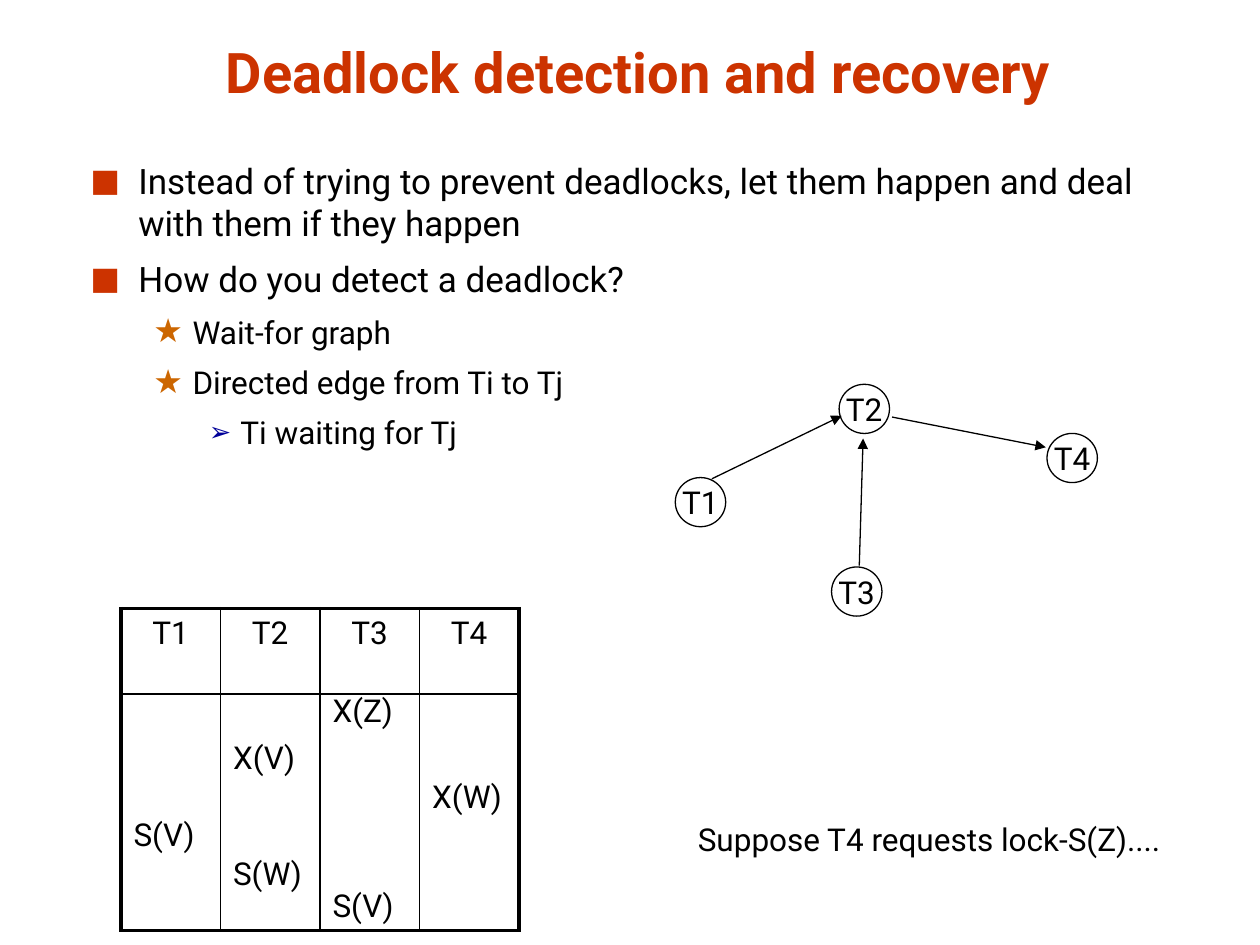
"""Build the slide on deadlock detection with its wait-for graph and lock table."""
from lxml.etree import SubElement
from pptx import Presentation
from pptx.dml.color import RGBColor
from pptx.enum.shapes import MSO_CONNECTOR as Connector, MSO_SHAPE as Shape
from pptx.enum.text import MSO_ANCHOR as Anchor, MSO_AUTO_SIZE as Fit, PP_ALIGN as Align
from pptx.oxml import parse_xml
from pptx.oxml.ns import nsdecls, qn
from pptx.util import Inches, Pt

RED = RGBColor(0xCC, 0x33, 0x00)
ORANGE = RGBColor(0xCC, 0x66, 0x00)
NAVY = RGBColor(0x00, 0x00, 0x99)
BLACK = RGBColor(0x00, 0x00, 0x00)

deck = Presentation()
deck.slide_width, deck.slide_height = Inches(10), Inches(7.5)
column, row = deck.slide_width / 100, deck.slide_height / 75
page = deck.slides.add_slide(deck.slide_layouts[5])


def place(*lengths):
    """Turn alternating columns and rows into slide lengths."""
    return [int(length * (row if i % 2 else column)) for i, length in enumerate(lengths)]


def write(para, text, size, color=BLACK, bold=False):
    """Add one run of formatted text to a paragraph."""
    span = para.add_run()
    span.text = text
    for name, value in {"name": "Roboto", "size": Pt(size), "bold": bold}.items():
        setattr(span.font, name, value)
    span.font.color.rgb = color


title = page.shapes.title
title.left, title.top, title.width, title.height = place(6.5, 2.1, 88.3, 6.7)
title.text_frame.vertical_anchor = Anchor.BOTTOM
title.text_frame.auto_size = Fit.NONE
title.text_frame.paragraphs[0].alignment = Align.CENTER
write(title.text_frame.paragraphs[0], "Deadlock detection and recovery", 32, RED, True)

levels = [
    {"size": 20, "margin": 0.38, "hang": 0.38, "mark": "■", "color": RED, "scale": 90},
    {"size": 18, "margin": 0.81, "hang": 0.31, "mark": "★", "color": ORANGE, "scale": 105},
    {"size": 18, "margin": 1.19, "hang": 0.25, "mark": "➢", "color": NAVY, "scale": 85},
]
points = [
    (0, "Instead of trying to prevent deadlocks, let them happen and deal with them if they happen"),
    (0, "How do you detect a deadlock?"),
    (1, "Wait-for graph"),
    (1, "Directed edge from Ti to Tj"),
    (2, "Ti waiting for Tj"),
]
body = page.shapes.add_textbox(*place(6.2, 12.2, 90, 62.8)).text_frame
body.word_wrap = True
for i, (depth, text) in enumerate(points):
    style = levels[depth]
    para = body.add_paragraph() if i else body.paragraphs[0]
    para.level = depth
    para.space_before = Pt(0.4 * style["size"] if i else 0)
    props = para._p.get_or_add_pPr()
    props.set("marL", str(Inches(style["margin"])))
    props.set("indent", str(-Inches(style["hang"])))
    tint = SubElement(props, qn("a:buClr"))
    SubElement(tint, qn("a:srgbClr"), val=str(style["color"]))
    SubElement(props, qn("a:buSzPct"), val=str(style["scale"] * 1000))
    SubElement(props, qn("a:buFont"), typeface="Roboto")
    SubElement(props, qn("a:buChar"), char=style["mark"])
    write(para, text, style["size"])

schedule = {
    "T1": [(3, "S(V)")],
    "T2": [(1, "X(V)"), (4, "S(W)")],
    "T3": [(0, "X(Z)"), (5, "S(V)")],
    "T4": [(2, "X(W)")],
}
line_height, step = 15.8, 22.2
table = page.shapes.add_table(2, len(schedule), *place(9.6, 48.3, 31.6, 25.3)).table
table.first_row = table.horz_banding = False
table.rows[0].height, table.rows[1].height = int(6.8 * row), int(18.5 * row)
for i, (name, locks) in enumerate(schedule.items()):
    table.columns[i].width = int(7.9 * column)
    head, cell = table.cell(0, i), table.cell(1, i)
    head.text_frame.paragraphs[0].alignment = Align.CENTER
    write(head.text_frame.paragraphs[0], name, 18)
    cell.margin_top = Pt(3.6 + step * locks[0][0] + (4.4 if locks[0][0] else 0))
    for j, (time, lock) in enumerate(locks):
        para = cell.text_frame.add_paragraph() if j else cell.text_frame.paragraphs[0]
        para.line_spacing = 0.75
        if j:
            para.space_before = Pt(step * (time - locks[j - 1][0]) - line_height)
        write(para, lock, 18)
    for j, box in enumerate((head, cell)):
        box.fill.background()
        outer = {"L": i == 0, "R": i == len(schedule) - 1, "T": j == 0, "B": j == 1}
        for k, (side, thick) in enumerate(outer.items()):
            border = parse_xml(
                f'<a:ln{side} {nsdecls("a")} w="{Pt(2.25 if thick else 1)}"><a:solidFill>'
                f'<a:srgbClr val="{BLACK}"/></a:solidFill></a:ln{side}>')
            box._tc.get_or_add_tcPr().insert(k, border)

nodes = {"T1": (53.6, 37.9), "T2": (66.6, 30.5), "T4": (83.1, 34.4), "T3": (66, 45)}
for name, corner in nodes.items():
    node = page.shapes.add_shape(Shape.OVAL, *place(*corner, 4, 3.9))
    node.shadow.inherit = False
    node.fill.background()
    node.line.color.rgb, node.line.width = BLACK, Pt(0.75)
    frame = node.text_frame
    frame.word_wrap = False
    for side in ("left", "top", "right", "bottom"):
        setattr(frame, f"margin_{side}", 0)
    frame.vertical_anchor = Anchor.MIDDLE
    frame.paragraphs[0].alignment = Align.CENTER
    write(frame.paragraphs[0], name, 18)

edges = [(56.5, 38, 66.8, 33), (68.2, 44.9, 68.5, 34.8), (70.8, 33.1, 83, 35.5)]
for ends in edges:
    edge = page.shapes.add_connector(Connector.STRAIGHT, *place(*ends))
    edge.line.color.rgb, edge.line.width = BLACK, Pt(0.75)
    SubElement(edge.line._get_or_add_ln(), qn("a:tailEnd"), type="triangle")
    SubElement(edge._element.spPr, qn("a:effectLst"))

remark = page.shapes.add_textbox(*place(54.4, 64.6, 39.4, 4)).text_frame
remark.word_wrap = False
write(remark.paragraphs[0], "Suppose T4 requests lock-S(Z)....", 18)

deck.save("out.pptx")
